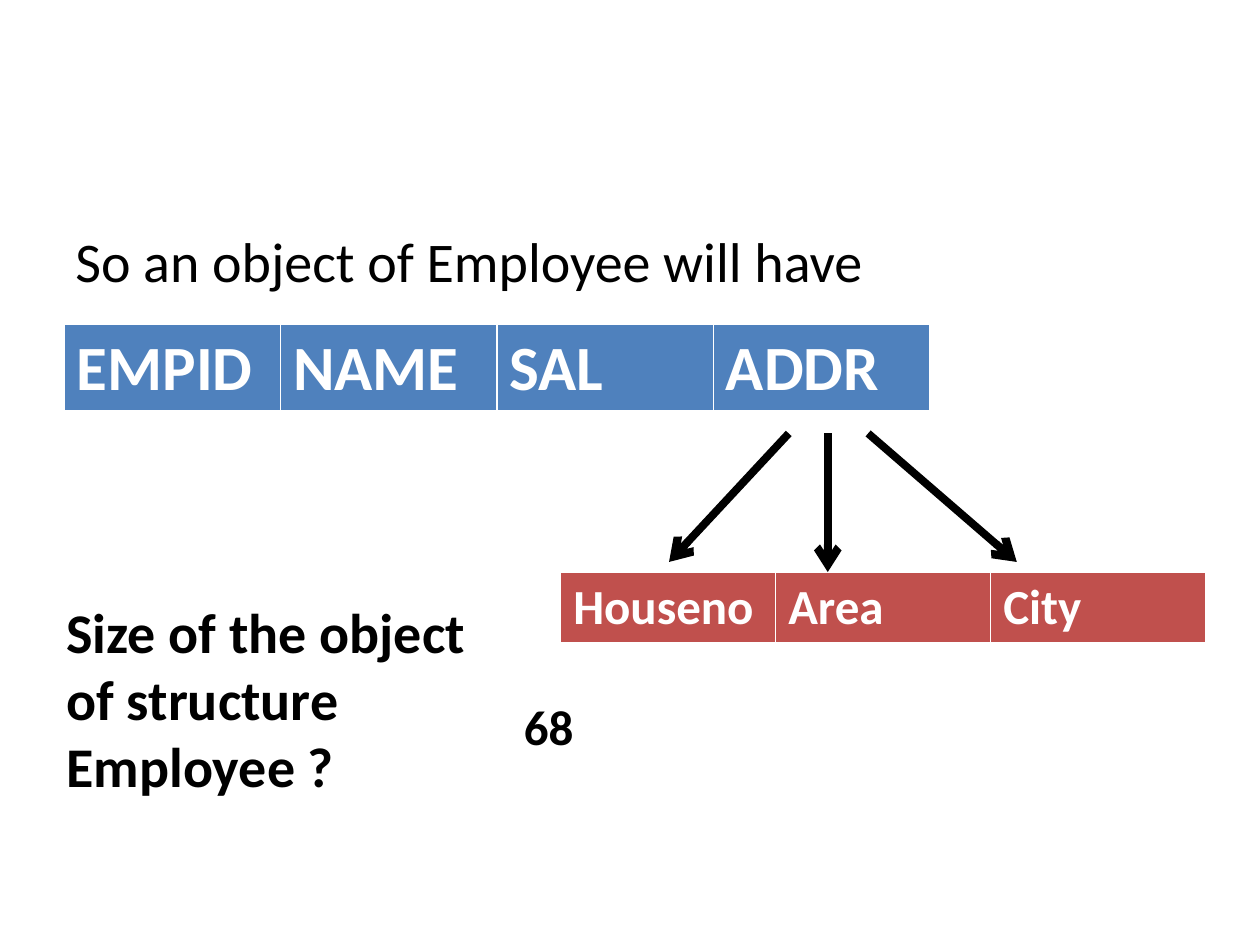
from lxml import etree
from pptx import Presentation
from pptx import util as u
from pptx.dml.color import RGBColor
from pptx.enum import shapes, text
from pptx.oxml import ns

In = u.Inches
BLACK, WHITE, BLUE, RED = "000000", "FFFFFF", "4F81BD", "C0504D"


def rgb(value):
    return RGBColor.from_string(value)


def write(tf, content, size=32, color=BLACK, bold=False):
    tf.word_wrap = True
    r = tf.paragraphs[0].add_run()
    r.text = content
    r.font.name = "Calibri"
    r.font.size = u.Pt(size)
    r.font.bold = bold
    r.font.color.rgb = rgb(color)


def add_text(s, box, content, grow=False, **fmt):
    tf = s.shapes.add_textbox(*map(In, box)).text_frame
    write(tf, content, **fmt)
    if grow:
        tf.auto_size = text.MSO_AUTO_SIZE.SHAPE_TO_FIT_TEXT


def add_border(cell, side, width):
    ln = etree.SubElement(cell._tc.get_or_add_tcPr(), ns.qn("a:" + side),
                          w=str(u.Pt(width)))
    fill = etree.SubElement(ln, ns.qn("a:solidFill"))
    etree.SubElement(fill, ns.qn("a:srgbClr"), val=WHITE)


def add_fields(s, box, names, fill, size):
    """One-row table whose equal columns are the members of a structure."""
    table = s.shapes.add_table(1, len(names), *map(In, box)).table
    for i, name in enumerate(names):
        table.columns[i].width = In(box[2] / len(names))
        cell = table.cell(0, i)
        write(cell.text_frame, name, size=size, color=WHITE, bold=True)
        # Borders precede the fill in the cell properties
        for side, width in (("lnL", 1), ("lnR", 1), ("lnT", 1), ("lnB", 3)):
            add_border(cell, side, width)
        cell.fill.solid()
        cell.fill.fore_color.rgb = rgb(fill)


def add_arrow(s, x1, y1, x2, y2):
    c = s.shapes.add_connector(shapes.MSO_CONNECTOR.STRAIGHT,
                               In(x1), In(y1), In(x2), In(y2))
    c.line.width = u.Pt(4.5)
    c.line.color.rgb = rgb(BLACK)
    etree.SubElement(c.line._get_or_add_ln(), ns.qn("a:tailEnd"), type="arrow")
    etree.SubElement(c._element.spPr, ns.qn("a:effectLst"))


def structure_diagram(s, x, y):
    """Employee fields, with ADDR expanded into its own fields."""
    add_fields(s, (x, y, 6.87, 0.7),
               ["EMPID", "NAME", "SAL", "ADDR"], BLUE, 36)
    add_fields(s, (x + 3.94, y + 1.97, 5.12, 0.57),
               ["Houseno", "Area", "City"], RED, 28)
    # Arrows from ADDR to its members
    for x1, x2, y2 in ((5.75, 4.8, 1.89), (6.06, 6.06, 1.97), (6.38, 7.56, 1.89)):
        add_arrow(s, x + x1, y + 0.87, x + x2, y + y2)


def size_question(s, x, y):
    """Question on the left, answer to its right."""
    add_text(s, (x, y, 3.7, 1.72),
             "Size of the object of structure Employee ?", grow=True, bold=True)
    add_text(s, (x + 3.63, y + 0.79, 0.94, 0.57), "68",
             grow=True, size=28, bold=True)


def main():
    prs = Presentation()
    prs.slide_width, prs.slide_height = In(10), In(7.5)
    s = prs.slides.add_slide(prs.slide_layouts[6])
    add_text(s, (0.5, 1.75, 9, 4.95), "So an object of Employee will have")
    structure_diagram(s, 0.51, 2.57)
    size_question(s, 0.43, 4.69)
    prs.save("out.pptx")


if __name__ == "__main__":
    main()
